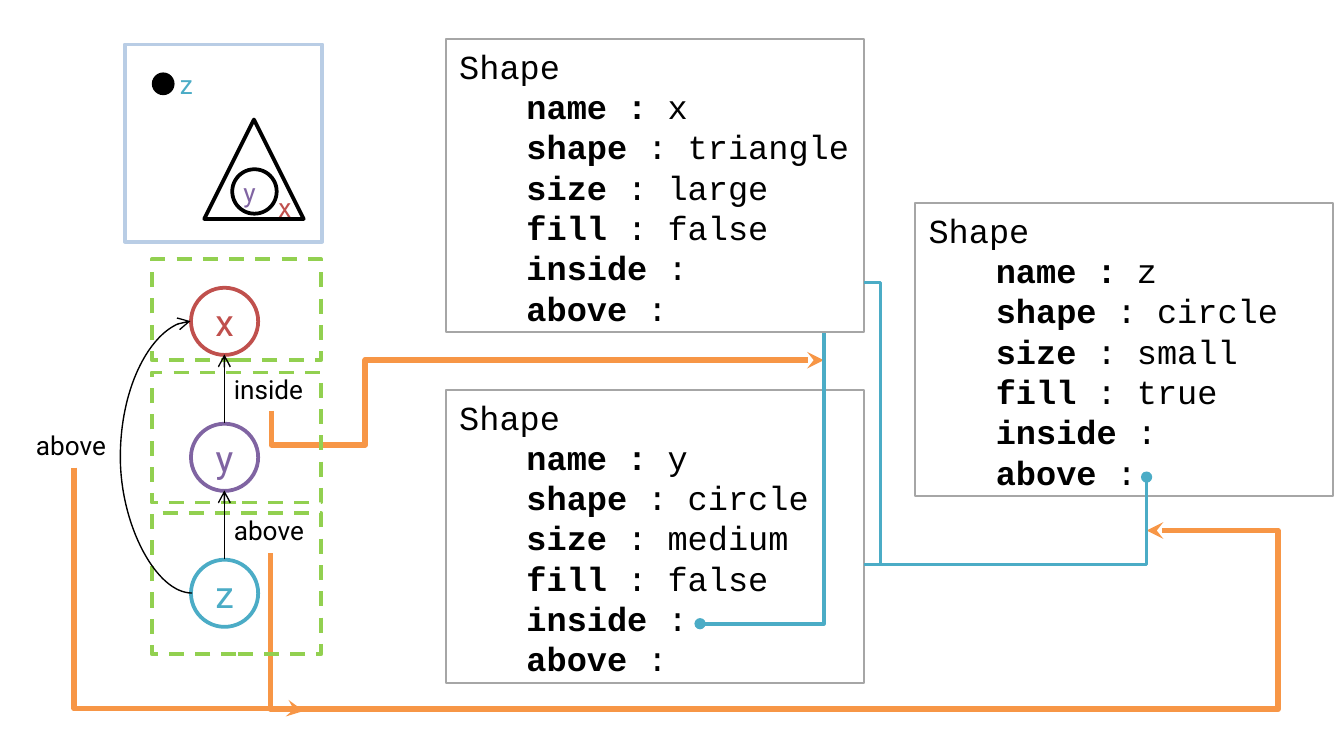
import math

import pptx
import pptx.dml.color
import pptx.enum.dml
import pptx.enum.shapes
import pptx.enum.text
import pptx.oxml
import pptx.oxml.ns
import pptx.util

Cm = pptx.util.Cm
Pt = pptx.util.Pt
RGBColor = pptx.dml.color.RGBColor
SHAPE = pptx.enum.shapes.MSO_SHAPE
LINK = pptx.enum.shapes.MSO_CONNECTOR
ALIGN = pptx.enum.text.PP_ALIGN
ANCHOR = pptx.enum.text.MSO_ANCHOR
qn = pptx.oxml.ns.qn

BLACK = RGBColor(0x00, 0x00, 0x00)
WHITE = RGBColor(0xFF, 0xFF, 0xFF)
ORANGE = RGBColor(0xF7, 0x96, 0x46)
GREEN = RGBColor(0x92, 0xD0, 0x50)
GREY = RGBColor(0xA6, 0xA6, 0xA6)
PALE_BLUE = RGBColor(0xB9, 0xCD, 0xE5)
TEAL = RGBColor(0x4B, 0xAC, 0xC6)
RED = RGBColor(0xC0, 0x50, 0x4D)
PURPLE = RGBColor(0x80, 0x64, 0xA2)

deck = pptx.Presentation()
deck.slide_width, deck.slide_height = Cm(25.4), Cm(14.29)
page = deck.slides.add_slide(deck.slide_layouts[6])


def add_box(shapes, kind, place, color, width=2, fill=None):
    box = shapes.add_shape(kind, *[Cm(length) for length in place])
    box.shadow.inherit = False
    box.line.color.rgb = color
    box.line.width = Pt(width)
    if fill is None:
        box.fill.background()
    else:
        box.fill.solid()
        box.fill.fore_color.rgb = fill
    return box


def connect(kind, start, end, color, width, head=None, turn=0, bends=()):
    """Draw a connector; turn is its rotation, bends are its adjustments as fractions."""
    dx, dy = end[0] - start[0], end[1] - start[1]
    cos, sin = math.cos(math.radians(turn)), math.sin(math.radians(turn))
    half_x, half_y = (cos * dx + sin * dy) / 2, (cos * dy - sin * dx) / 2
    mid_x, mid_y = (start[0] + end[0]) / 2, (start[1] + end[1]) / 2
    link = page.shapes.add_connector(
        kind, Cm(mid_x - half_x), Cm(mid_y - half_y), Cm(mid_x + half_x), Cm(mid_y + half_y))
    link.line.color.rgb = color
    link.line.width = Pt(width)
    properties = link.element.spPr
    if turn:
        properties.find(qn("a:xfrm")).set("rot", str(turn * 60000))
    geometry = properties.find(qn("a:prstGeom"))
    if len(bends) == 2:
        geometry.set("prst", "bentConnector4")
    for number, bend in enumerate(bends, 1):
        guide = pptx.oxml.parse_xml(
            f'<a:gd {pptx.oxml.ns.nsdecls("a")} name="adj{number}" fmla="val {round(bend * 100000)}"/>')
        geometry.find(qn("a:avLst")).append(guide)
    if head:
        properties.find(qn("a:ln")).append(pptx.oxml.parse_xml(
            f'<a:tailEnd {pptx.oxml.ns.nsdecls("a")} type="{head}"/>'))
    properties.append(pptx.oxml.parse_xml(f'<a:effectLst {pptx.oxml.ns.nsdecls("a")}/>'))


# Orange arrows from relation labels to the references
for start, end, turn, bends in [
    ((5.13, 7.77), (15.57, 6.81), 90, (-0.67, 0.17)),
    ((5.11, 10.46), (21.67, 10.03), 90, (-6.86, 1.15)),
    ((1.4, 8.84), (5.74, 13.44), 270, (0.99,)),
]:
    connect(LINK.ELBOW, start, end, ORANGE, 3, "stealth", turn, bends)

# Dashed levels around the graph nodes
for top, height in [(9.7, 2.67), (7.04, 2.46), (4.9, 1.91)]:
    level = add_box(page.shapes, SHAPE.RECTANGLE, (2.87, top, 3.2, height), GREEN)
    level.line.dash_style = pptx.enum.dml.MSO_LINE.DASH

# Object records
for left, top, name, shape, size, filled in [
    (8.43, 0.74, "x", "triangle", "large", "false"),
    (8.43, 7.37, "y", "circle", "medium", "false"),
    (17.3, 3.84, "z", "circle", "small", "true"),
]:
    record = add_box(page.shapes, SHAPE.RECTANGLE, (left, top, 7.9, 5.54), GREY, 1)
    frame = record.text_frame
    frame.word_wrap = True
    frame.vertical_anchor = ANCHOR.TOP
    lines = [
        [("Shape", False)],
        [("\t", False), ("name : ", True), (name, False)],
    ]
    for field, value in [("shape", " : " + shape), ("size", " : " + size),
                         ("fill", " : " + filled), ("inside", " :"), ("above", " :")]:
        lines.append([("\t", False), (field, True), (value, False)])
    for index, line in enumerate(lines):
        para = frame.add_paragraph() if index else frame.paragraphs[0]
        para.alignment = ALIGN.LEFT
        para.font.size = Pt(18)
        for text, bold in line:
            span = para.add_run()
            span.text = text
            span.font.name = "Courier New"
            span.font.size = Pt(18)
            span.font.bold = bold
            span.font.color.rgb = BLACK

# Teal references between records
for start, end, head, turn, bend in [
    ((15.57, 6.3), (13.23, 11.79), "oval", 90, 1),
    ((16.33, 10.67), (21.67, 9.02), "oval", 0, 1),
    ((16.33, 5.34), (16.64, 10.67), None, 270, 0),
]:
    connect(LINK.ELBOW, start, end, TEAL, 2, head, turn, (bend,))

# Graph nodes, evenly stacked
for row, (name, color) in enumerate([("x", RED), ("y", PURPLE), ("z", TEAL)]):
    node = add_box(page.shapes, SHAPE.OVAL, (3.61, 5.44 + row * 2.57, 1.27, 1.27), color, 2, WHITE)
    frame = node.text_frame
    frame.margin_left = frame.margin_right = frame.margin_top = frame.margin_bottom = 0
    frame.vertical_anchor = ANCHOR.MIDDLE
    para = frame.paragraphs[0]
    para.alignment = ALIGN.CENTER
    span = para.add_run()
    span.text = name
    span.font.name = "Roboto"
    span.font.size = Pt(20)
    span.font.color.rgb = color

connect(LINK.CURVE, (3.63, 11.21), (3.6, 6.07), BLACK, 0.75, "arrow", 180, (45.2,))
for bottom in (10.57, 8):
    connect(LINK.STRAIGHT, (4.24, bottom), (4.24, bottom - 1.3), BLACK, 0.75, "arrow")

# Scene with the three drawn shapes
scene = page.shapes.add_group_shape()
for kind, place, color, fill in [
    (SHAPE.RECTANGLE, (2.36, 0.84, 3.73, 3.73), PALE_BLUE, None),
    (SHAPE.ISOSCELES_TRIANGLE, (3.86, 2.26, 1.88, 1.88), BLACK, WHITE),
    (SHAPE.OVAL, (2.87, 1.37, 0.43, 0.43), BLACK, BLACK),
    (SHAPE.OVAL, (4.39, 3.2, 0.84, 0.84), BLACK, WHITE),
]:
    figure = add_box(scene.shapes, kind, place, color, 2, fill)
    if fill == BLACK:
        figure.line.fill.background()

# Relation labels and scene labels
for shapes, text, place, color in [
    (page.shapes, "inside", (4.17, 6.93, 1.93, 0.86), BLACK),
    (page.shapes, "above", (4.17, 9.6, 1.91, 0.86), BLACK),
    (page.shapes, "above", (0.43, 8, 1.91, 0.86), BLACK),
    (scene.shapes, "x", (5.26, 3.61, 0.28, 0.61), RED),
    (scene.shapes, "y", (4.6, 3.33, 0.3, 0.61), PURPLE),
    (scene.shapes, "z", (3.4, 1.3, 0.25, 0.61), TEAL),
]:
    label = shapes.add_textbox(*[Cm(length) for length in place])
    frame = label.text_frame
    frame.word_wrap = False
    frame.auto_size = pptx.enum.text.MSO_AUTO_SIZE.SHAPE_TO_FIT_TEXT
    if color != BLACK:
        frame.margin_left = frame.margin_right = frame.margin_top = frame.margin_bottom = 0
    span = frame.paragraphs[0].add_run()
    span.text = text
    span.font.name = "Roboto"
    span.font.size = Pt(14)
    span.font.color.rgb = color

deck.save("out.pptx")
